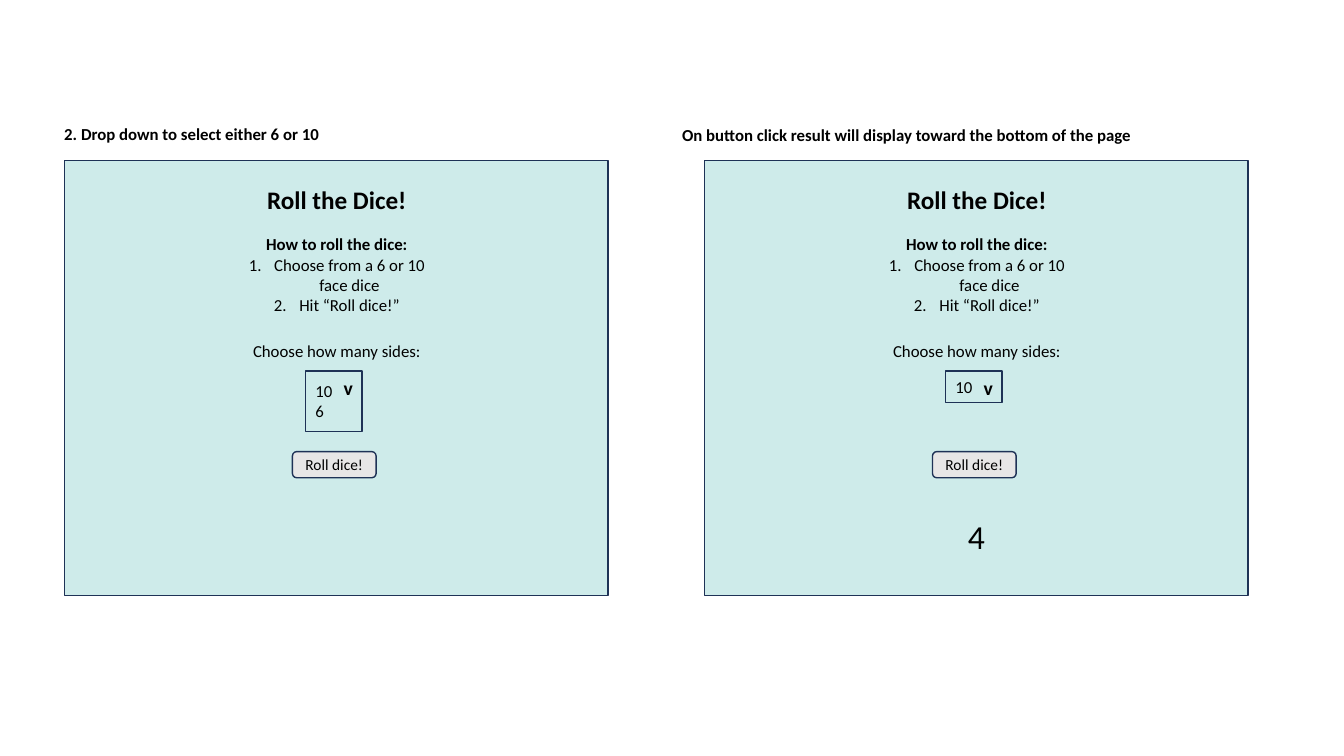
from lxml import etree
from pptx import Presentation
from pptx import util as u
from pptx.dml.color import RGBColor
from pptx.enum import shapes, text
from pptx.oxml.ns import qn

COLOURS = {"page": "CEEBEA", "border": "1E3256", "button": "E7E6E6", "ink": "000000"}
FONT = "Calibri"
LEFT, CENTER = text.PP_ALIGN.LEFT, text.PP_ALIGN.CENTER
TOP, MIDDLE = text.MSO_ANCHOR.TOP, text.MSO_ANCHOR.MIDDLE
RECT, ROUNDED = shapes.MSO_SHAPE.RECTANGLE, shapes.MSO_SHAPE.ROUNDED_RECTANGLE

PAGE_LEFT, PAGE_PITCH = 1.63, 16.13
COLUMN_LEFT, COLUMN_WIDTH = 4.37, 4.98


def colour(name):
    return RGBColor.from_string(COLOURS[name])


def write(frame, lines, size=12, bold=False, align=CENTER, anchor=MIDDLE):
    frame.word_wrap = True
    frame.vertical_anchor = anchor
    for index, line in enumerate(lines):
        paragraph = frame.paragraphs[0] if index == 0 else frame.add_paragraph()
        paragraph.alignment = align
        run = paragraph.add_run()
        run.text = line
        run.font.name = FONT
        run.font.size = u.Pt(size)
        run.font.bold = bold
        run.font.color.rgb = colour("ink")


def number(paragraph):
    """Turn a paragraph into an item of a numbered list."""
    properties = paragraph._p.get_or_add_pPr()
    indent = u.Cm(0.64)
    properties.set("marL", str(indent))
    properties.set("indent", str(-indent))
    etree.SubElement(properties, qn("a:buFont"), typeface="+mj-lt")
    etree.SubElement(properties, qn("a:buAutoNum"), type="arabicPeriod")


def add_label(slide, box, *lines, **style):
    label = slide.shapes.add_textbox(*map(u.Cm, box))
    write(label.text_frame, lines, **style)
    return label


def add_box(slide, box, *lines, kind=RECT, fill=None, **style):
    outline = slide.shapes.add_shape(kind, *map(u.Cm, box))
    outline.shadow.inherit = False
    if fill:
        outline.fill.solid()
        outline.fill.fore_color.rgb = colour(fill)
    else:
        outline.fill.background()
    outline.line.color.rgb = colour("border")
    outline.line.width = u.Pt(1)
    write(outline.text_frame, lines, **style)


def add_instructions(slide, box):
    instructions = add_label(slide, box, "How to roll the dice:",
                             "Choose from a 6 or 10 face dice", "Hit “Roll dice!”")
    heading, *steps = instructions.text_frame.paragraphs
    heading.runs[0].font.bold = True
    for step in steps:
        number(step)


def add_dice_page(slide, left, options, menu_height):
    column = left + COLUMN_LEFT
    add_box(slide, (left, 4.04, 13.69, 10.97), fill="page")
    add_label(slide, (column, 4.55, COLUMN_WIDTH, 0.94), "Roll the Dice!", size=18, bold=True)
    add_instructions(slide, (column, 5.99, COLUMN_WIDTH, 1.85))
    add_label(slide, (column, 8.38, COLUMN_WIDTH, 0.94), "Choose how many sides:")
    add_box(slide, (left + 6.07, 9.35, 1.42, menu_height), *options, align=LEFT)
    add_box(slide, (left + 5.74, 11.38, 2.11, 0.66), "Roll dice!",
            kind=ROUNDED, fill="button", size=11)
    add_label(slide, (left + 6.78, 9.35, 1.42, 0.86), "v",
              size=14, bold=True, align=LEFT, anchor=TOP)


def main():
    deck = Presentation()
    deck.slide_width, deck.slide_height = u.Cm(33.87), u.Cm(19.05)
    slide = deck.slides.add_slide(deck.slide_layouts[6])

    result_left = PAGE_LEFT + PAGE_PITCH
    add_dice_page(slide, PAGE_LEFT, ["10", "6"], 1.52)
    add_dice_page(slide, result_left, ["10"], 0.79)
    add_label(slide, (result_left + 5.79, 12.88, 2.11, 1.27), "4", size=24, anchor=TOP)

    captions = [
        (1.37, 3.0, "2. Drop down to select either 6 or 10"),
        (16.94, 3.03, "On button click result will display toward the bottom of the page"),
    ]
    for left, top, caption in captions:
        add_label(slide, (left, top, 14.45, 0.76), caption, bold=True, align=LEFT, anchor=TOP)

    deck.save("out.pptx")


if __name__ == "__main__":
    main()
